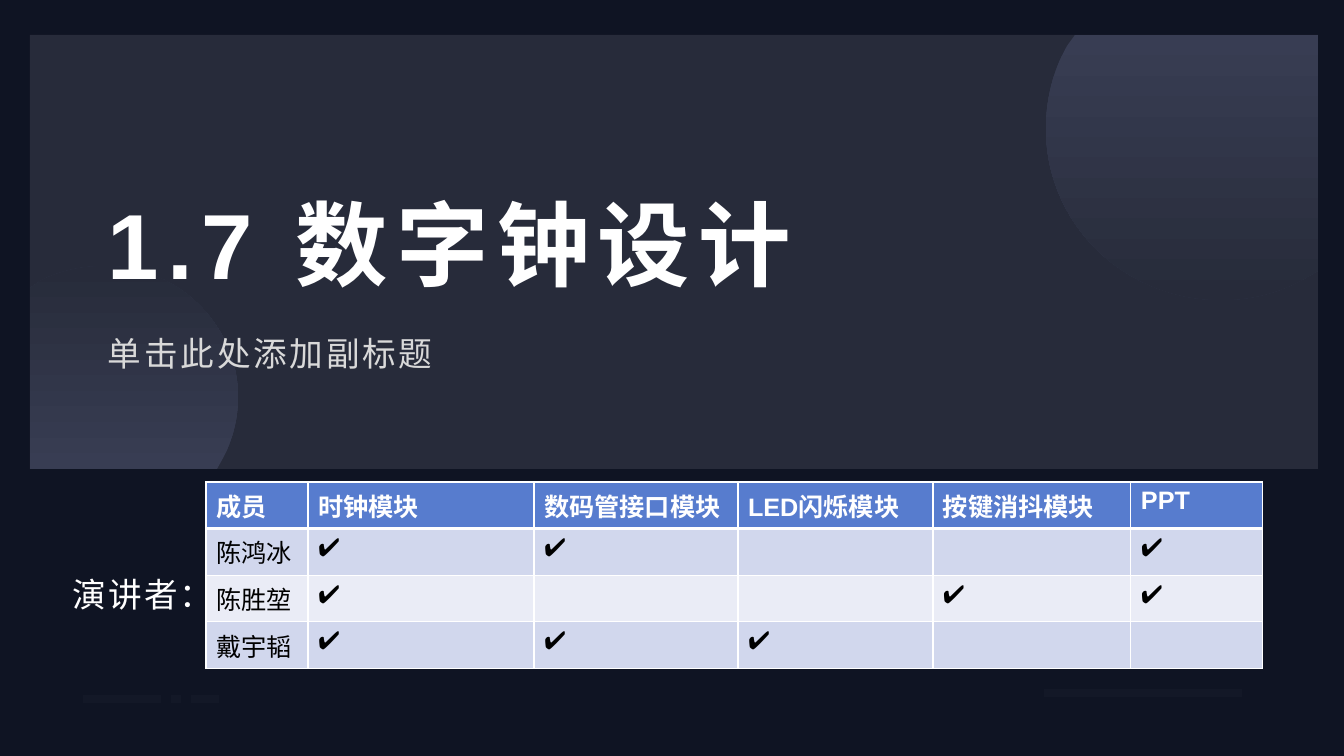
from lxml.etree import SubElement
from pptx import Presentation
from pptx.dml.color import RGBColor
from pptx.enum.shapes import MSO_SHAPE
from pptx.enum.text import MSO_ANCHOR
from pptx.oxml import parse_xml
from pptx.oxml.ns import nsdecls, qn
from pptx.util import Pt

PX = 12192000 / 1344
COLORS = {
    "night": "0F1423",
    "panel": "272B3A",
    "glow": "383D53",
    "dash": "252937",
    "header": "577CCE",
    "odd": "D1D7ED",
    "even": "EAECF6",
    "white": "FFFFFF",
    "black": "000000",
    "grey": "D9D9D9",
}
RGB = {name: RGBColor.from_string(value) for name, value in COLORS.items()}


def px(*lengths):
    return [round(length * PX) for length in lengths]


def write(frame, text, size=18, color="white", bold=False, spacing=0, line=None, after=0):
    paragraph = frame.paragraphs[0]
    paragraph.space_after = Pt(after)
    if line:
        paragraph.line_spacing = line
    run = paragraph.add_run()
    run.text = text
    run.font.name = "Arial"
    run.font.size = Pt(size)
    run.font.bold = bold
    run.font.color.rgb = RGB[color]
    if spacing:
        run._r.get_or_add_rPr().set("spc", str(round(spacing * 100)))


prs = Presentation()
prs.slide_width, prs.slide_height = px(1344, 756)
slide = prs.slides.add_slide(prs.slide_layouts[6])
slide.background.fill.solid()
slide.background.fill.fore_color.rgb = RGB["night"]

panel = slide.shapes.add_shape(MSO_SHAPE.RECTANGLE, *px(30, 35, 1288, 434))
panel.shadow.inherit = False
panel.fill.solid()
panel.fill.fore_color.rgb = RGB["panel"]
panel.line.fill.background()

for corner, curves, angle in [
    ([(1075, 35), (1318, 35), (1318, 271), (1304, 279)],
     [(1279, 293), (1251, 300), (1221, 300),
      (1124, 300), (1046, 224), (1046, 129),
      (1046, 99), (1053, 71), (1067, 46)], 270),
    ([(217, 469), (30, 469), (30, 288), (40, 281)],
     [(59, 271), (82, 266), (105, 266),
      (178, 266), (238, 325), (238, 397),
      (238, 420), (232, 442), (222, 460)], 90),
]:
    builder = slide.shapes.build_freeform(*corner[0], scale=PX)
    builder.add_line_segments(corner[1:] + curves, close=True)
    disc = builder.convert_to_shape()
    steps = list(disc._element.iter(qn("a:lnTo")))[len(corner) - 1:]
    for first in range(0, len(steps), 3):
        start, *others = steps[first:first + 3]
        start.tag = qn("a:cubicBezTo")
        for step in others:
            start.append(step[0])
            step.getparent().remove(step)
    disc.shadow.inherit = False
    disc.line.fill.background()
    disc.fill.gradient()
    disc.fill.gradient_angle = angle
    for stop, color in zip(disc.fill.gradient_stops, ("glow", "panel")):
        stop.color.rgb = RGB[color]

for left, top, width in [(1044, 689, 198), (83, 695, 78), (171, 695, 10), (191, 695, 28)]:
    dash = slide.shapes.add_shape(MSO_SHAPE.RECTANGLE, *px(left, top, width, 8))
    dash.shadow.inherit = False
    dash.line.fill.background()
    dash.fill.solid()
    dash.fill.fore_color.rgb = RGB["dash"]
    tint = dash.fill._xPr.find(qn("a:solidFill"))[0]
    SubElement(tint, qn("a:alpha")).set("val", "20000")

duties = [
    ["成员", "时钟模块", "数码管接口模块", "LED闪烁模块", "按键消抖模块", "PPT"],
    ["陈鸿冰", "✔", "✔", "", "", "✔"],
    ["陈胜堃", "✔", "", "", "✔", "✔"],
    ["戴宇韬", "✔", "✔", "✔", "", ""],
]
column_widths = [102, 226, 204, 195, 198, 132]
members = slide.shapes.add_table(
    len(duties), len(column_widths), *px(206, 482, sum(column_widths), 168)).table
for column, width in zip(members.columns, px(*column_widths)):
    column.width = width
for row_index, duty_row in enumerate(duties):
    is_header = row_index == 0
    band = "header" if is_header else ("odd" if row_index % 2 else "even")
    for column_index, text in enumerate(duty_row):
        cell = members.cell(row_index, column_index)
        cell.fill.solid()
        cell.fill.fore_color.rgb = RGB[band]
        if text:
            write(cell.text_frame, text,
                  color="white" if is_header else "black", bold=is_header)
        properties = cell._tc.get_or_add_tcPr()
        for position, side in enumerate("LRTB"):
            thick = (is_header and side == "B") or (row_index == 1 and side == "T")
            properties.insert(position, parse_xml(
                f'<a:ln{side} {nsdecls("a")} w="{Pt(3 if thick else 1)}"><a:solidFill>'
                f'<a:srgbClr val="{COLORS["white"]}"/></a:solidFill></a:ln{side}>'))

captions = [
    ((98, 89, 1008, 209), (5, 0), MSO_ANCHOR.BOTTOM, "1.7 数字钟设计",
     dict(size=66, bold=True, spacing=6)),
    ((98, 333, 1008, 98), (0, 5), MSO_ANCHOR.TOP, "单击此处添加副标题",
     dict(size=24, color="grey", spacing=2, after=10)),
    ((63, 557, 371, 64), (5, 5), MSO_ANCHOR.TOP, "演讲者：",
     dict(size=24, spacing=1.5, line=1.3, after=10)),
]
for box, insets, anchor, text, style in captions:
    frame = slide.shapes.add_textbox(*px(*box)).text_frame
    frame.word_wrap = True
    frame.vertical_anchor = anchor
    frame.margin_top, frame.margin_bottom = px(*insets)
    write(frame, text, **style)

prs.save("out.pptx")
